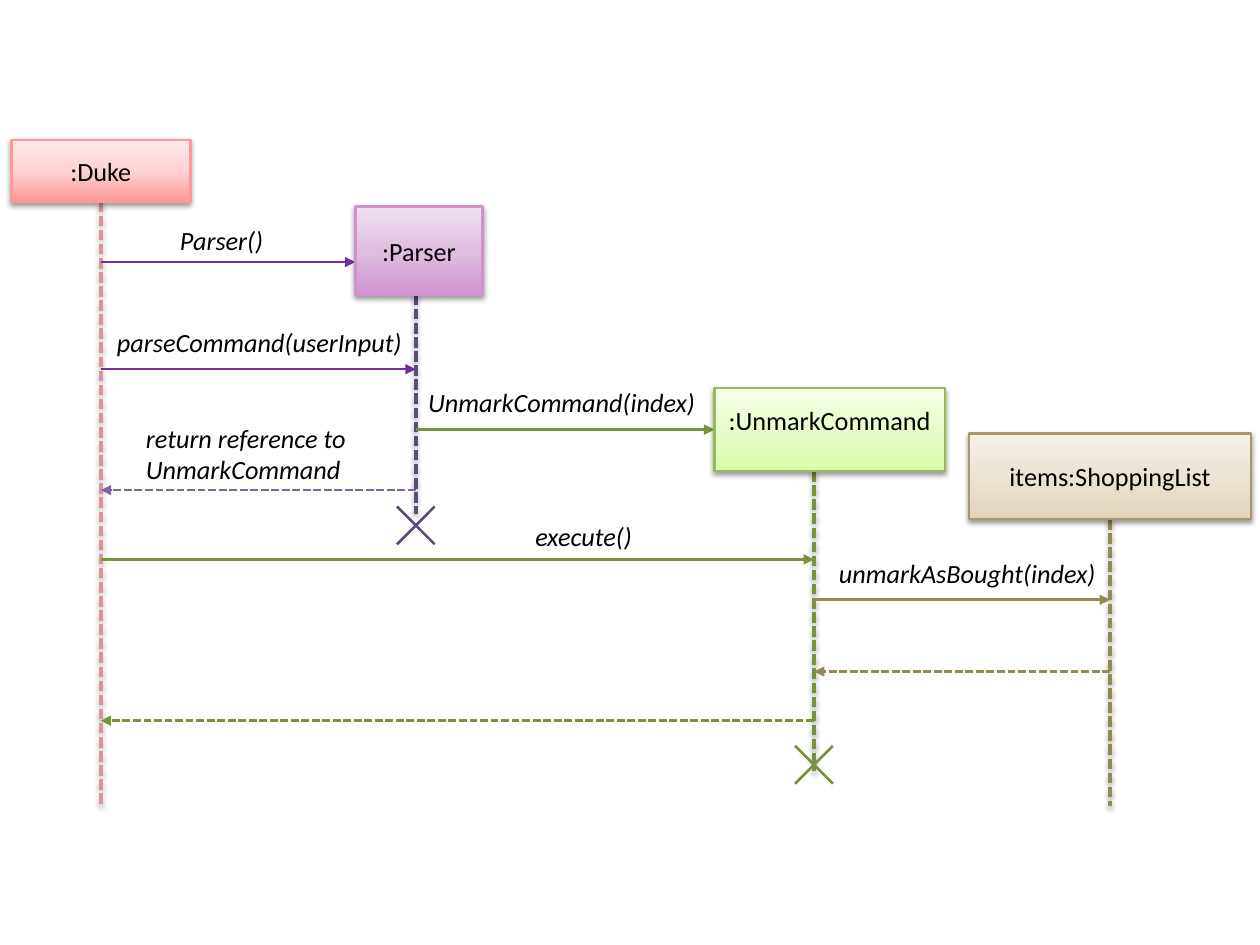
from lxml import etree
from pptx import Presentation
from pptx.dml.color import RGBColor
from pptx.enum.dml import MSO_LINE
from pptx.enum.shapes import MSO_CONNECTOR, MSO_SHAPE
from pptx.enum.text import MSO_ANCHOR, PP_ALIGN
from pptx.oxml import parse_xml
from pptx.oxml.ns import nsdecls, qn
from pptx.util import Inches, Pt

STRAIGHT, RECTANGLE = MSO_CONNECTOR.STRAIGHT, MSO_SHAPE.RECTANGLE
DASH = MSO_LINE.SQUARE_DOT
TOP, MIDDLE = MSO_ANCHOR.TOP, MSO_ANCHOR.MIDDLE
LEFT, CENTER = PP_ALIGN.LEFT, PP_ALIGN.CENTER
FONT, TEXT_SIZE, TEXT_COLOR = "Calibri", 15, "000000"
PURPLE, VIOLET, GREEN, TAN = "7030A0", "604A7B", "77933C", "948A54"

# box: left, top, width, height; gradient: (position %, colour) from the bottom up
PARTICIPANTS = {
    "duke": dict(text=":Duke", box=(0.09, 1.11, 1.42, 0.49), border="FF9999",
                 gradient=[(0, "FF9999"), (50, "FFD2D3"), (100, "FFE9E9")],
                 x=0.8, end=6.4, color="D99694"),
    "parser": dict(text=":Parser", box=(2.82, 1.64, 1.01, 0.7), border="CF92CF",
                   gradient=[(0, "CF95CF"), (50, "DFBFDF"), (100, "EFE0EF")],
                   x=3.3, end=4.08, color=VIOLET, destroyed=4.17),
    "command": dict(text=":UnmarkCommand", box=(5.67, 3.08, 1.83, 0.66), border="98B955",
                    gradient=[(0, "DAFDA7"), (35, "E4FCC2"), (100, "F5FFE7")],
                    x=6.46, end=6.12, color=GREEN, destroyed=6.07, bottom_inset=0.2),
    "items": dict(text="items:ShoppingList", box=(7.69, 3.44, 2.24, 0.68), border="AB966D",
                  gradient=[(0, "E2D4BC"), (50, "EBE3D4"), (100, "F5F1EA")],
                  x=8.81, end=6.4, color=TAN),
}

# sender, receiver, y, colour, kind
MESSAGES = [
    ("duke", "parser", 2.08, PURPLE, "create"),
    ("duke", "parser", 2.93, PURPLE, "call"),
    ("parser", "command", 3.41, GREEN, "create"),
    ("parser", "duke", 3.89, "8064A2", "return"),
    ("duke", "command", 4.44, GREEN, "call"),
    ("command", "items", 4.76, TAN, "call"),
    ("items", "command", 5.33, TAN, "return"),
    ("command", "duke", 5.72, GREEN, "return"),
]

# text, left, top, width, height
LABELS = [
    ("Parser()", 1.33, 1.73, 1.29, 0.35),
    ("parseCommand(userInput)", 0.83, 2.54, 2.73, 0.35),
    ("UnmarkCommand(index)", 3.3, 3.02, 2.4, 0.35),
    ("return reference to UnmarkCommand", 1.06, 3.3, 1.87, 0.61),
    ("execute()", 4.15, 4.08, 1.1, 0.35),
    ("unmarkAsBought(index)", 6.56, 4.37, 2.35, 0.35),
]


def rgb(color):
    return RGBColor.from_string(color)


def set_effects(shape, shadow):
    """Replace the theme's effects by a soft drop shadow, or by none."""
    effects = etree.SubElement(shape._element.spPr, qn("a:effectLst"))
    if shadow:
        effects.append(parse_xml(
            f'<a:outerShdw {nsdecls("a")} blurRad="{Pt(3.1)}" dist="{Pt(1.6)}" '
            'dir="5400000" rotWithShape="0"><a:srgbClr val="000000">'
            '<a:alpha val="38000"/></a:srgbClr></a:outerShdw>'))


def set_gradient(shape, stops):
    stop_xml = "".join(f'<a:gs pos="{position * 1000}"><a:srgbClr val="{color}"/></a:gs>'
                       for position, color in stops)
    shape._element.spPr.find(qn("a:prstGeom")).addnext(parse_xml(
        f'<a:gradFill {nsdecls("a")} rotWithShape="1"><a:gsLst>{stop_xml}</a:gsLst>'
        '<a:lin ang="16200000" scaled="0"/></a:gradFill>'))


def add_line(slide, start, end, color, width=1.5, dashed=False, arrow=False, shadow=False):
    connector = slide.shapes.add_connector(STRAIGHT, *map(Inches, start + end))
    connector.line.color.rgb = rgb(color)
    connector.line.width = Pt(width)
    if dashed:
        connector.line.dash_style = DASH
    if arrow:
        etree.SubElement(connector.line._get_or_add_ln(), qn("a:tailEnd"), type="triangle")
    set_effects(connector, shadow)


def write(shape, text, anchor, align, italic=False, bottom_inset=0.05):
    frame = shape.text_frame
    frame.word_wrap = True
    frame.vertical_anchor = anchor
    frame.margin_left = frame.margin_right = Inches(0.1)
    frame.margin_top, frame.margin_bottom = Inches(0.05), Inches(bottom_inset)
    paragraph = frame.paragraphs[0]
    paragraph.alignment = align
    run = paragraph.add_run()
    run.text = text
    run.font.name, run.font.size = FONT, Pt(TEXT_SIZE)
    run.font.italic = italic
    run.font.color.rgb = rgb(TEXT_COLOR)


def add_lifeline(slide, participant):
    x, color = participant["x"], participant["color"]
    _, top, _, height = participant["box"]
    add_line(slide, (x, top + height), (x, participant["end"]), color,
             width=2, dashed=True, shadow=True)
    if "destroyed" in participant:
        y, reach = participant["destroyed"], 0.15
        for rise in (-reach, reach):
            add_line(slide, (x - reach, y - rise), (x + reach, y + rise), color)


def add_message(slide, sender, receiver, y, color, kind):
    target = PARTICIPANTS[receiver]
    end = target["box"][0] if kind == "create" else target["x"]
    add_line(slide, (PARTICIPANTS[sender]["x"], y), (end, y), color,
             dashed=kind == "return", arrow=True)


def add_participant(slide, participant):
    box = slide.shapes.add_shape(RECTANGLE, *map(Inches, participant["box"]))
    set_gradient(box, participant["gradient"])
    box.line.color.rgb = rgb(participant["border"])
    box.line.width = Pt(1.5)
    set_effects(box, shadow=True)
    write(box, participant["text"], MIDDLE, CENTER,
          bottom_inset=participant.get("bottom_inset", 0.05))


def main():
    deck = Presentation()
    deck.slide_width, deck.slide_height = Inches(10), Inches(7.5)
    slide = deck.slides.add_slide(deck.slide_layouts[6])
    for participant in PARTICIPANTS.values():
        add_lifeline(slide, participant)
    for message in MESSAGES:
        add_message(slide, *message)
    for text, *area in LABELS:
        write(slide.shapes.add_textbox(*map(Inches, area)), text, TOP, LEFT, italic=True)
    for participant in PARTICIPANTS.values():
        add_participant(slide, participant)
    deck.save("out.pptx")


if __name__ == "__main__":
    main()
